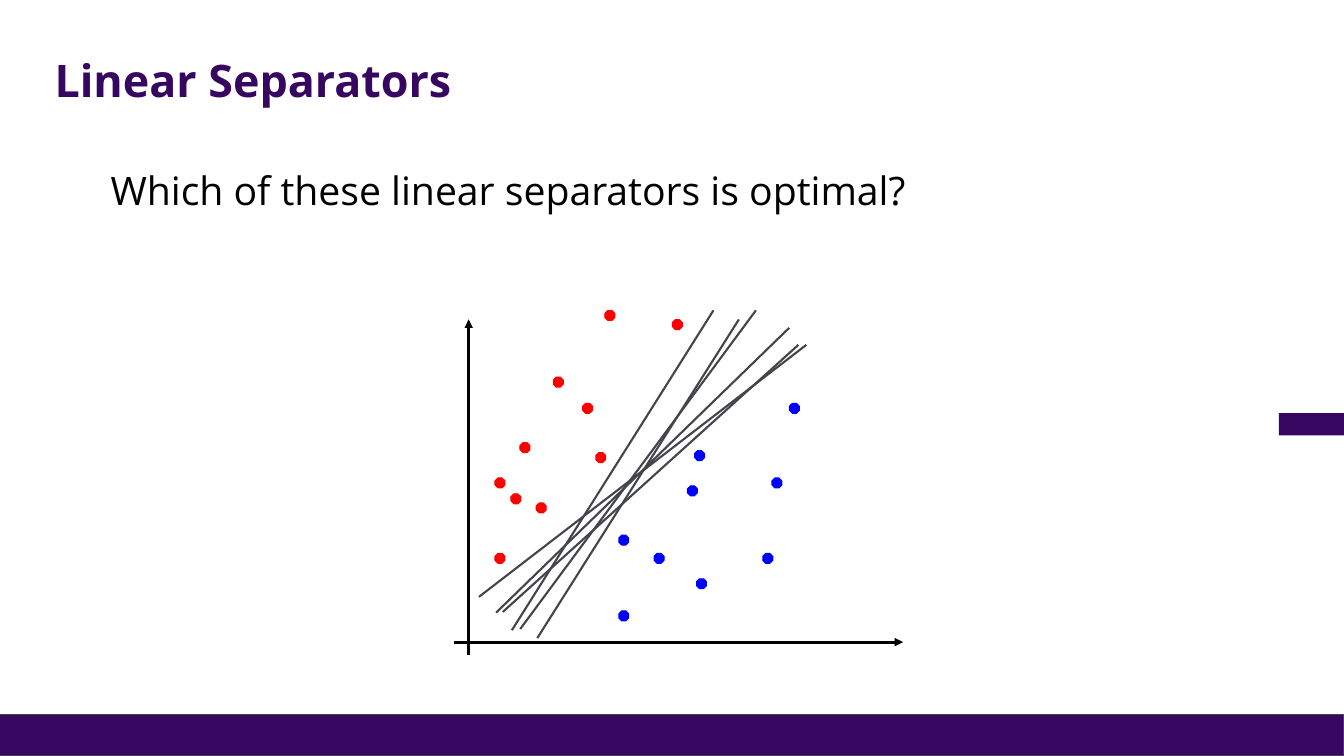
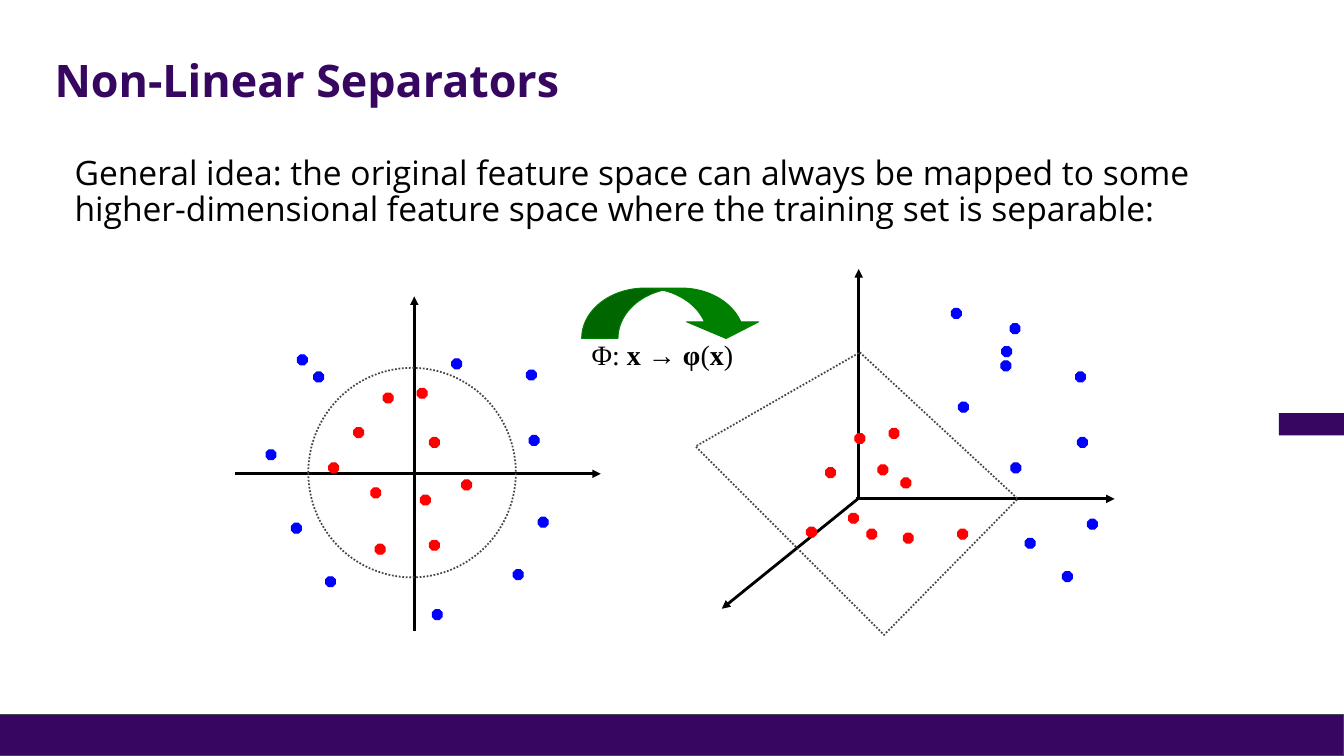
from lxml import etree
from pptx import Presentation
from pptx import util as u
from pptx.dml.color import RGBColor
from pptx.enum import dml, shapes, text
from pptx.oxml.ns import qn

Cm = u.Cm
COLORS = {
    "band": "370661", "title": "370660", "ink": "000000", "rule": "43454B",
    "red": "FF0000", "blue": "0000FF", "map": "008000",
}
WIDTH, HEIGHT = 33.87, 19.05
DOT = 0.25
SHAPE = shapes.MSO_SHAPE


def rgb(name):
    return RGBColor.from_string(COLORS[name])


class Deck:
    """Holds the shared style and the current slide."""

    font = "Open Sans"

    def __init__(self):
        self.prs = Presentation()
        self.prs.slide_width, self.prs.slide_height = Cm(WIDTH), Cm(HEIGHT)
        self.layout = self.prs.slide_layouts[5]
        self.slide = None

    def new_slide(self, title):
        first = self.slide is None
        self.slide = self.prs.slides.add_slide(self.layout)
        if first:
            self.decorate_layout()
        heading = self.slide.shapes.title
        heading.left, heading.top = Cm(1.12), Cm(1.02)
        heading.width, heading.height = Cm(30.43), Cm(2.13)
        frame = heading.text_frame
        frame.text = title
        frame.auto_size = text.MSO_AUTO_SIZE.NONE
        frame.vertical_anchor = text.MSO_ANCHOR.MIDDLE
        self.format_paragraph(frame.paragraphs[0], 32, "title", bold=True)

    def decorate_layout(self):
        """Put the bottom band and the side tab on the layout, once."""
        band = self.shape(SHAPE.RECTANGLE, 0, 18.01, WIDTH, 1.04, "band", "rule")
        tab = self.shape(SHAPE.RECTANGLE, 32.23, 10.41, 1.64, 0.56, "band")
        for position, part in enumerate((band, tab), start=2):
            self.layout.shapes.element.insert(position, part.element)

    def format_paragraph(self, paragraph, size, color, bold=False):
        paragraph.alignment = text.PP_ALIGN.LEFT
        paragraph.line_spacing = 0.9
        for run in paragraph.runs:
            self.format_run(run, size, color, bold, self.font)

    def format_run(self, run, size, color, bold, font):
        run.font.size, run.font.bold, run.font.name = u.Pt(size), bold, font
        run.font.color.rgb = rgb(color)

    def text_box(self, x, y, w, h):
        frame = self.slide.shapes.add_textbox(Cm(x), Cm(y), Cm(w), Cm(h)).text_frame
        frame.word_wrap = True
        return frame

    def statement(self, words, x, y, w, h, size):
        frame = self.text_box(x, y, w, h)
        frame.text = words
        self.format_paragraph(frame.paragraphs[0], size, "ink")

    def formula(self, pieces, x, y, w, h):
        paragraph = self.text_box(x, y, w, h).paragraphs[0]
        for words, bold in pieces:
            run = paragraph.add_run()
            run.text = words
            self.format_run(run, 20, "ink", bold, "Times New Roman")

    def paint(self, item, fill=None, line=None, weight=0.75, dotted=False):
        item.shadow.inherit = False
        if fill:
            item.fill.solid()
            item.fill.fore_color.rgb = rgb(fill)
        else:
            item.fill.background()
        if line:
            item.line.color.rgb = rgb(line)
            item.line.width = u.Pt(weight)
        else:
            item.line.fill.background()
        if dotted:
            item.line.dash_style = dml.MSO_LINE.ROUND_DOT
        return item

    def shape(self, kind, x, y, w, h, fill=None, line=None, **style):
        item = self.slide.shapes.add_shape(kind, Cm(x), Cm(y), Cm(w), Cm(h))
        return self.paint(item, fill, line, **style)

    def dots(self, color, centers):
        for x, y in centers:
            self.shape(SHAPE.OCTAGON, x - DOT / 2, y - DOT / 2, DOT, DOT, color, color)

    def outline(self, corners):
        points = [(Cm(x), Cm(y)) for x, y in corners]
        builder = self.slide.shapes.build_freeform(*points[0])
        builder.add_line_segments(points[1:], close=True)
        self.paint(builder.convert_to_shape(), line="rule", weight=1.25, dotted=True)

    def line(self, x1, y1, x2, y2, color="rule", weight=1.5):
        link = self.slide.shapes.add_connector(
            shapes.MSO_CONNECTOR.STRAIGHT, Cm(x1), Cm(y1), Cm(x2), Cm(y2))
        link.line.color.rgb = rgb(color)
        link.line.width = u.Pt(weight)
        etree.SubElement(link.element.spPr, qn("a:effectLst"))
        return link

    def axis(self, *ends):
        stroke = self.line(*ends, color="ink", weight=2).line
        etree.SubElement(stroke.fill._xPr, qn("a:tailEnd"), type="triangle")


def linear_slide(deck):
    deck.new_slide("Linear Separators")
    deck.statement("Which of these linear separators is optimal?",
                   2.54, 4.19, 27.3, 1.6, 28)

    # Axes and the two classes
    deck.axis(11.81, 16.51, 11.81, 8.05)
    deck.axis(11.43, 16.18, 22.76, 16.18)
    deck.dots("red", [
        (14.81, 10.29), (13.23, 11.28), (13.64, 12.8), (12.6, 14.07), (14.07, 9.63),
        (12.6, 12.17), (13, 12.57), (15.14, 11.53), (15.37, 7.95), (17.07, 8.18)])
    deck.dots("blue", [
        (17.63, 11.48), (16.61, 14.07), (19.35, 14.07), (15.72, 15.52), (17.45, 12.37),
        (15.72, 13.61), (17.68, 14.71), (19.58, 12.17), (20.02, 10.29)])

    # Candidate separators
    for separator in [
        (12.67, 15.42, 20.12, 8.69), (13.11, 15.85, 19.05, 7.82),
        (12.07, 15.04, 20.32, 8.69), (13.54, 16.08, 18.62, 8.05),
        (12.9, 15.88, 17.98, 7.82), (12.5, 15.44, 19.89, 8.26),
    ]:
        deck.line(*separator)


def non_linear_slide(deck):
    deck.new_slide("Non-Linear Separators")
    deck.statement("General idea: the original feature space can always be mapped to "
                   "some higher-dimensional feature space where the training set is "
                   "separable:", 1.63, 3.81, 31.6, 2.4, 24)

    # Original space with a circular boundary
    deck.axis(10.44, 15.9, 10.44, 7.47)
    deck.axis(5.92, 11.94, 15.14, 11.94)
    deck.dots("red", [
        (10.64, 9.91), (9.04, 10.9), (9.47, 12.42), (10.95, 13.74), (9.78, 10.03),
        (8.41, 11.79), (9.58, 13.84), (10.95, 11.15), (11.76, 12.22), (10.72, 12.6)])
    deck.dots("blue", [
        (13.46, 11.1), (13.06, 14.48), (6.83, 11.46), (11.02, 15.49), (13.69, 13.16),
        (8.33, 14.66), (7.47, 13.31), (7.62, 9.07), (11.51, 9.17), (8.03, 9.5),
        (13.39, 9.45)])
    deck.shape(SHAPE.OVAL, 7.77, 9.27, 5.23, 5.28, line="rule", weight=1.25, dotted=True)

    # Mapped space with a separating plane
    deck.axis(21.64, 12.52, 21.64, 6.78)
    deck.axis(21.56, 12.57, 28.09, 12.57)
    deck.axis(21.62, 12.57, 18.19, 15.34)
    deck.dots("red", [
        (22.53, 10.92), (20.93, 11.91), (21.97, 13.46), (24.26, 13.46), (21.67, 11.05),
        (22.25, 11.84), (22.89, 13.56), (22.83, 12.17), (21.51, 13.06), (20.45, 13.41)])
    deck.dots("blue", [
        (27.28, 11.15), (26.9, 14.53), (25.58, 8.28), (25.6, 11.79), (27.53, 13.21),
        (24.28, 10.26), (25.96, 13.69), (25.37, 8.86), (25.35, 9.22), (24.1, 7.9),
        (27.23, 9.5)])
    deck.outline([(21.67, 8.88), (25.65, 12.57), (22.28, 16), (17.53, 11.25)])

    # Mapping between the spaces
    mapping = deck.shape(SHAPE.CURVED_DOWN_ARROW, 14.66, 7.26, 4.55, 1.27, "map", "map")
    for index, value in enumerate((0.72, 1.43, 0.33)):
        mapping.adjustments[index] = value
    deck.formula([("Φ: ", False), ("x → φ", True), ("(", False), ("x", True),
                  (")", False)], 14.66, 8.38, 4.67, 1.09)


def main():
    deck = Deck()
    linear_slide(deck)
    non_linear_slide(deck)
    deck.prs.save("out.pptx")


if __name__ == "__main__":
    main()
